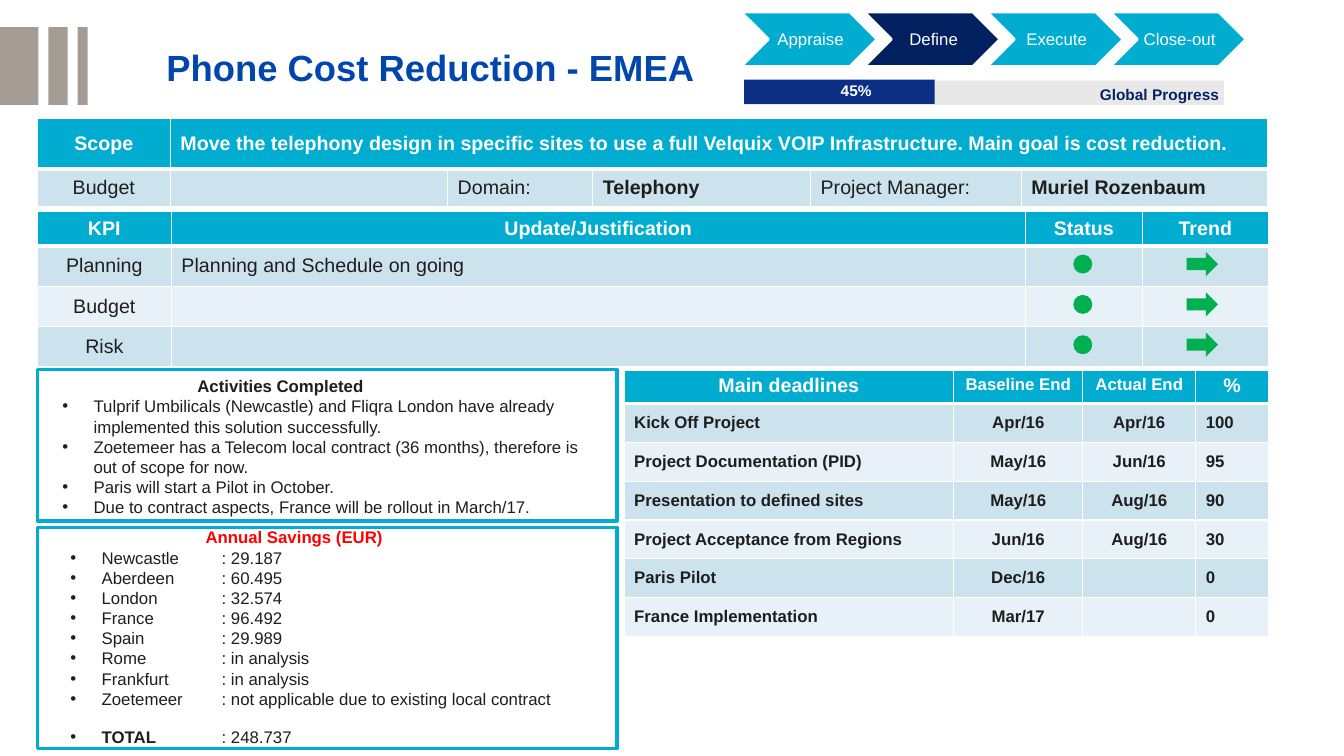
"""Build the project status slide for the phone cost reduction programme."""
from lxml import etree
from pptx import Presentation
from pptx.dml.color import RGBColor
from pptx.enum.shapes import MSO_SHAPE
from pptx.enum.text import MSO_ANCHOR, PP_ALIGN
from pptx.oxml.ns import qn
from pptx.util import Inches, Pt

LEFT, CENTER = PP_ALIGN.LEFT, PP_ALIGN.CENTER
TOP, MIDDLE = MSO_ANCHOR.TOP, MSO_ANCHOR.MIDDLE
RECT, CHEVRON = MSO_SHAPE.RECTANGLE, MSO_SHAPE.CHEVRON
OVAL, ARROW = MSO_SHAPE.OVAL, MSO_SHAPE.RIGHT_ARROW

FONT = "Arial"
COLORS = {
    "white": "FFFFFF", "ink": "1E1E1E", "title": "0046AD", "cyan": "00ADD0",
    "navy": "002060", "bar": "0A2F85", "track": "E8E8E8", "label": "082364",
    "band": "CCE3EE", "pale": "E7F1F7", "green": "00B050", "red": "FF0000",
    "stripe": "A59D95",
}

TITLE = "Phone Cost Reduction - EMEA"
STRIPES = [(0, 0.38), (0.48, 0.19), (0.77, 0.1)]
PHASES = ["Appraise", "Define", "Execute", "Close-out"]
CURRENT_PHASE = "Define"
SCOPE = [
    ["Scope", "Move the telephony design in specific sites to use a full Velquix VOIP "
     "Infrastructure. Main goal is cost reduction.", "", "", "", ""],
    ["Budget", "", "Domain:", "Telephony", "Project Manager:", "Muriel Rozenbaum"],
]
KPIS = [
    ["KPI", "Update/Justification", "Status", "Trend"],
    ["Planning", "Planning and Schedule on going", "", ""],
    ["Budget", "", "", ""],
    ["Risk", "", "", ""],
]
DEADLINES = [
    ["Main deadlines", "Baseline End", "Actual End", "%"],
    ["Kick Off Project", "Apr/16", "Apr/16", "100"],
    ["Project Documentation (PID)", "May/16", "Jun/16", "95"],
    ["Presentation to defined sites", "May/16", "Aug/16", "90"],
    ["Project Acceptance from Regions", "Jun/16", "Aug/16", "30"],
    ["Paris Pilot", "Dec/16", "", "0"],
    ["France Implementation", "Mar/17", "", "0"],
]
ACTIVITIES = [
    "Tulprif Umbilicals (Newcastle) and Fliqra London have already implemented "
    "this solution successfully.",
    "Zoetemeer has a Telecom local contract (36 months), therefore is out of scope for now.",
    "Paris will start a Pilot in October.",
    "Due to contract aspects, France will be rollout in March/17.",
]
SAVINGS = [
    ("Newcastle", "29.187"), ("Aberdeen", "60.495"), ("London", "32.574"),
    ("France", "96.492"), ("Spain", "29.989"), ("Rome", "in analysis"),
    ("Frankfurt", "in analysis"),
    ("Zoetemeer", "not applicable due to existing local contract"),
]
TOTAL = ("TOTAL", "248.737")


def color(name):
    return RGBColor.from_string(COLORS[name])


def style(font, size, name, bold=False):
    font.name, font.size, font.bold = FONT, Pt(size), bold
    font.color.rgb = color(name)


def add_shape(page, kind, at, fill, line=None, width=2):
    shape = page.shapes.add_shape(kind, *map(Inches, at))
    shape.shadow.inherit = False
    shape.fill.solid()
    shape.fill.fore_color.rgb = color(fill)
    if line:
        shape.line.color.rgb = color(line)
        shape.line.width = Pt(width)
    else:
        shape.line.fill.background()
    return shape


def add_text(page, at, lines, size, name, bold=False):
    frame = page.shapes.add_textbox(*map(Inches, at)).text_frame
    frame.word_wrap = True
    frame.text = "\n".join(lines)
    for para in frame.paragraphs:
        for span in para.runs:
            style(span.font, size, name, bold)
    return frame


def add_bullets(frame, tab=None):
    for para in frame.paragraphs:
        props = para._p.get_or_add_pPr()
        props.set("marL", str(Inches(0.31)))
        props.set("indent", str(-Inches(0.31)))
        etree.SubElement(props, qn("a:buFont"), typeface=FONT)
        etree.SubElement(props, qn("a:buChar"), char="•")
        if tab:
            stops = etree.SubElement(props, qn("a:tabLst"))
            etree.SubElement(stops, qn("a:tab"), pos=str(Inches(tab)), algn="l")


def add_borders(cell, row):
    widths = {"L": 1, "R": 1, "T": 3 if row == 1 else 1, "B": 3 if row == 0 else 1}
    props = cell._tc.get_or_add_tcPr()
    for side, width in widths.items():
        line = etree.SubElement(props, qn(f"a:ln{side}"), w=str(Pt(width)))
        fill = etree.SubElement(line, qn("a:solidFill"))
        etree.SubElement(fill, qn("a:srgbClr"), val=COLORS["white"])


def add_grid(page, left, top, columns, heights, rows, look):
    """Add a banded table; look gives alignment, size, bold and anchor of a cell."""
    size = Inches(sum(columns)), Inches(sum(heights))
    table = page.shapes.add_table(len(rows), len(columns), Inches(left), Inches(top), *size).table
    for column, width in zip(table.columns, columns):
        column.width = Inches(width)
    for r, (row, height) in enumerate(zip(rows, heights)):
        table.rows[r].height = Inches(height)
        for c, text in enumerate(row):
            cell = table.cell(r, c)
            align, points, bold, anchor = look(r, c)
            add_borders(cell, r)
            cell.fill.solid()
            cell.fill.fore_color.rgb = color("cyan" if r == 0 else "band" if r % 2 else "pale")
            cell.vertical_anchor = anchor
            cell.margin_top = cell.margin_bottom = Inches(0.05 if anchor == TOP else 0.03)
            cell.text = text
            para = cell.text_frame.paragraphs[0]
            para.alignment = align
            for span in para.runs:
                style(span.font, points, "ink" if r else "white", bold)
    return table


def scope_look(r, c):
    return CENTER if c == 0 else LEFT, 14, r == 0 or c in (3, 5), MIDDLE


def kpi_look(r, c):
    return CENTER if r == 0 or c == 0 else LEFT, 14, r == 0, MIDDLE


def deadline_look(r, c):
    if r == 0:
        return CENTER, 12 if c in (1, 2) else 14, True, TOP
    return CENTER if c in (1, 2) else LEFT, 12, True, MIDDLE


def add_header(page):
    for left, width in STRIPES:
        add_shape(page, RECT, (left, 0.27, width, 0.77), "stripe")
    title = page.shapes.title
    title.left, title.top, title.width, title.height = map(Inches, (1.65, 0.28, 5.6, 0.76))
    frame = title.text_frame
    frame.text = TITLE
    frame.vertical_anchor = MIDDLE
    frame.margin_left = frame.margin_right = frame.margin_top = frame.margin_bottom = 0
    frame.paragraphs[0].alignment = LEFT
    style(frame.paragraphs[0].runs[0].font, 26, "title", True)
    for i, phase in enumerate(PHASES):
        fill = "navy" if phase == CURRENT_PHASE else "cyan"
        step = add_shape(page, CHEVRON, (7.35 + 1.22 * i, 0.12, 1.35, 0.54), fill, "white")
        step.text_frame.text = phase
        step.text_frame.word_wrap = False
        step.text_frame.margin_left, step.text_frame.margin_right = Inches(0.05), Inches(0.02)
        step.text_frame.paragraphs[0].alignment = CENTER
        style(step.text_frame.paragraphs[0].runs[0].font, 12, "white")
    add_shape(page, RECT, (7.38, 0.8, 4.76, 0.24), "track")
    add_shape(page, RECT, (7.38, 0.79, 1.89, 0.24), "bar")
    add_text(page, (8.24, 0.76, 0.55, 0.29), ["45%"], 11, "white", True)
    add_text(page, (10.81, 0.79, 1.44, 0.29), ["Global Progress"], 11, "label", True)


def add_panels(page):
    for top, height in ((3.67, 1.5), (5.23, 2.2)):
        add_shape(page, RECT, (0.37, top, 5.75, height), "white", "cyan", 2.25)
    add_text(page, (1.86, 3.68, 2.97, 0.3), ["Activities Completed"], 12, "ink", True)
    add_bullets(add_text(page, (0.52, 3.88, 5.35, 1.31), ACTIVITIES, 12, "ink"))
    add_text(page, (1.94, 5.18, 3.07, 0.3), ["Annual Savings (EUR)"], 12, "red", True)
    lines = [f"{site}\t: {amount}" for site, amount in SAVINGS]
    savings = add_text(page, (0.6, 5.38, 5.35, 2.12), lines + [TOTAL[0]], 12, "ink")
    add_bullets(savings, 1.5)
    total = savings.paragraphs[-1]
    total.space_before = Pt(13)
    total.runs[0].font.bold = True
    amount = total.add_run()
    amount.text = f"\t: {TOTAL[1]}"
    style(amount.font, 12, "ink")


def main():
    deck = Presentation()
    deck.slide_width, deck.slide_height = Inches(13.33), Inches(7.5)
    page = deck.slides.add_slide(deck.slide_layouts[5])
    add_header(page)
    scope = add_grid(page, 0.37, 1.17, [1.32, 2.75, 1.44, 2.16, 2.09, 2.44], [0.51, 0.37], SCOPE, scope_look)
    scope.cell(0, 1).merge(scope.cell(0, 5))
    add_grid(page, 0.37, 2.1, [1.33, 8.47, 1.16, 1.25], [0.34] + [0.4] * 3, KPIS, kpi_look)
    add_panels(page)
    add_grid(page, 6.19, 3.67, [3.27, 1.28, 1.12, 0.72], [0.32] + [0.385] * 6, DEADLINES, deadline_look)
    for i in range(len(KPIS) - 1):
        add_shape(page, OVAL, (10.66, 2.54 + 0.4 * i, 0.16, 0.16), "green", "green")
        add_shape(page, ARROW, (11.77, 2.5 + 0.4 * i, 0.31, 0.24), "green")
    deck.save("out.pptx")


if __name__ == "__main__":
    main()
